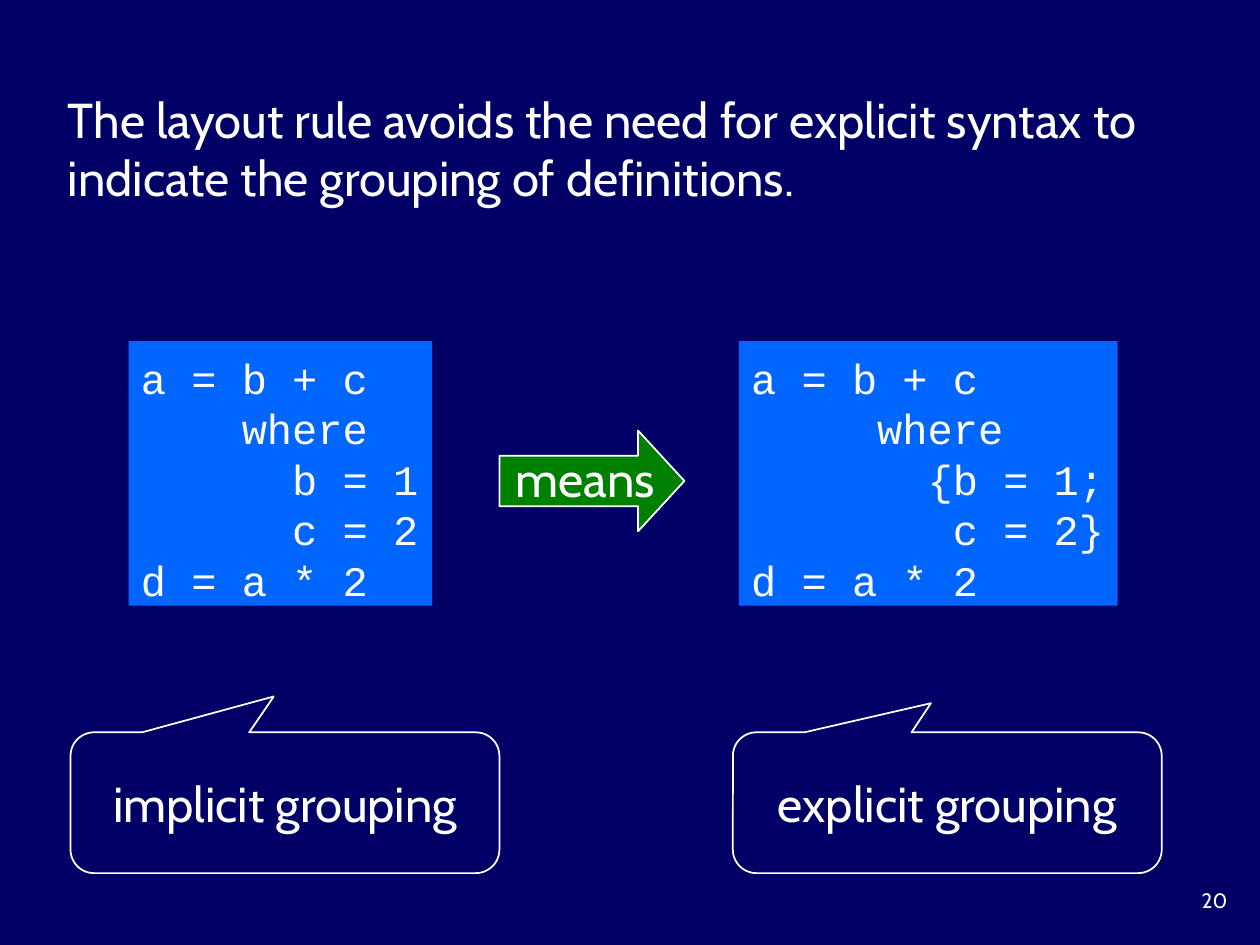
from collections import namedtuple

from pptx import Presentation
from pptx.dml.color import RGBColor
from pptx.enum.shapes import MSO_SHAPE
from pptx.enum.text import MSO_ANCHOR, PP_ALIGN
from pptx.util import Inches, Pt

WIDTH, HEIGHT = 10, 7.5
NAVY, BLUE, GREEN, WHITE = "000066", "0066FF", "008000", "FFFFFF"
BODY_FONT, CODE_FONT = "Cabin", "Courier New"

IMPLICIT_CODE = """a = b + c
    where
      b = 1
      c = 2
d = a * 2"""
EXPLICIT_CODE = """a = b + c
     where
       {b = 1;
        c = 2}
d = a * 2"""


class Box(namedtuple("Box", "left top width height")):
    def share(self, left, top, width, height):
        """Return the box that covers the given shares of this one."""
        return Box(self.left + left * self.width, self.top + top * self.height,
                   width * self.width, height * self.height)

    def lengths(self):
        return [Inches(value) for value in self]


def color(code):
    return RGBColor.from_string(code)


def write(shape, text, font=BODY_FONT, size=28, align=PP_ALIGN.LEFT,
          anchor=MSO_ANCHOR.MIDDLE, wrap=True, spacing=None):
    frame = shape.text_frame
    frame.word_wrap = wrap
    frame.vertical_anchor = anchor
    for index, line in enumerate(text.split("\n")):
        para = frame.add_paragraph() if index else frame.paragraphs[0]
        para.alignment = align
        if spacing:
            para.line_spacing = Pt(spacing)
        span = para.add_run()
        span.text = line
        span.font.name = font
        span.font.size = Pt(size)
        span.font.color.rgb = color(WHITE)


def add_shape(shapes, kind, box, fill=None, line=None, adjustments=()):
    shape = shapes.add_shape(kind, *box.lengths())
    shape.shadow.inherit = False
    if fill:
        shape.fill.solid()
        shape.fill.fore_color.rgb = color(fill)
    else:
        shape.fill.background()
    if line:
        shape.line.color.rgb = color(line)
        shape.line.width = Pt(1)
    else:
        shape.line.fill.background()
    for index, value in enumerate(adjustments):
        shape.adjustments[index] = value
    return shape


def add_text(shapes, box, text, **style):
    write(shapes.add_textbox(*box.lengths()), text, **style)


def add_code(page, box, code):
    panel = add_shape(page.shapes, MSO_SHAPE.RECTANGLE, box, fill=BLUE)
    panel.text_frame.margin_top = Inches(0.09)
    panel.text_frame.margin_bottom = Inches(0.01)
    write(panel, code, font=CODE_FONT, size=24, wrap=False, spacing=28.8)


def add_arrow(page, box, label):
    group = page.shapes.add_group_shape()
    add_shape(group.shapes, MSO_SHAPE.RIGHT_ARROW, box, fill=GREEN, line=WHITE,
              adjustments=(0.5, 0.46))
    add_text(group.shapes, box.share(-0.02, 0.11, 0.97, 0.71), label,
             align=PP_ALIGN.CENTER, wrap=False)


def add_comparison(page, box):
    add_code(page, box.share(0, 0, 0.307, 1), IMPLICIT_CODE)
    add_arrow(page, box.share(0.375, 0.338, 0.187, 0.381), "means")
    add_code(page, box.share(0.617, 0, 0.383, 1), EXPLICIT_CODE)


def add_callouts(page, box):
    callouts = (("implicit grouping", 0, (-0.026, -0.755, 0.167)),
                ("explicit grouping", 0.607, (-0.038, -0.707, 0.167)))
    for text, left, adjustments in callouts:
        callout = add_shape(page.shapes, MSO_SHAPE.ROUNDED_RECTANGULAR_CALLOUT,
                            box.share(left, 0, 0.393, 1), line=WHITE,
                            adjustments=adjustments)
        write(callout, text, align=PP_ALIGN.CENTER)


def main():
    deck = Presentation()
    deck.slide_width, deck.slide_height = Inches(WIDTH), Inches(HEIGHT)
    page = deck.slides.add_slide(deck.slide_layouts[6])
    page.background.fill.solid()
    page.background.fill.fore_color.rgb = color(NAVY)

    whole = Box(0, 0, WIDTH, HEIGHT)
    add_text(page.shapes, whole.share(0.044, 0.087, 0.89, 0.139),
             "The layout rule avoids the need for explicit syntax to "
             "indicate the grouping of definitions.")
    add_comparison(page, whole.share(0.102, 0.361, 0.785, 0.28))
    add_callouts(page, whole.share(0.056, 0.775, 0.866, 0.149))
    add_text(page.shapes, whole.share(0.917, 0.933, 0.067, 0.044), "20",
             size=11.9, align=PP_ALIGN.RIGHT, anchor=MSO_ANCHOR.TOP)
    deck.save("out.pptx")


if __name__ == "__main__":
    main()
